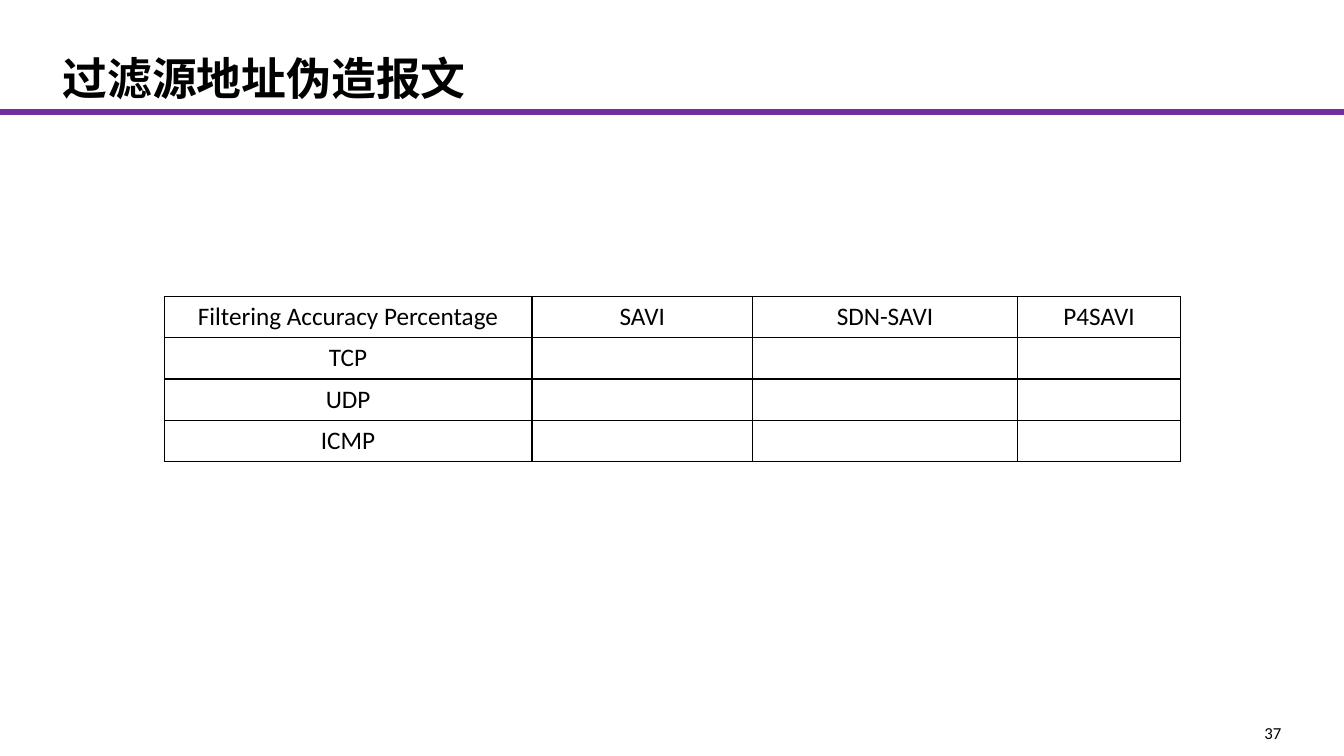
from dataclasses import dataclass

from lxml.etree import SubElement
from pptx import Presentation
from pptx.dml.color import RGBColor
from pptx.enum.shapes import MSO_CONNECTOR
from pptx.enum.text import MSO_ANCHOR, PP_ALIGN
from pptx.oxml.ns import qn
from pptx.util import Inches, Pt


@dataclass(frozen=True)
class Theme:
    ink: RGBColor = RGBColor(0, 0, 0)
    paper: RGBColor = RGBColor(255, 255, 255)
    accent: RGBColor = RGBColor(0x70, 0x30, 0xA0)
    body_font: str = "Calibri"
    title_font: str = "Noto Sans CJK SC"
    title_size: int = 32
    table_size: int = 18
    number_size: int = 12
    rule_width: float = 2.25
    border_width: float = 1


THEME = Theme()
HEADERS = ["Filtering Accuracy Percentage", "SAVI", "SDN-SAVI", "P4SAVI"]
PROTOCOLS = ["TCP", "UDP", "ICMP"]
COLUMN_WIDTHS = [3.65, 2.19, 2.63, 1.62]
ROW_HEIGHT = 0.41


def set_attrs(target, values):
    for name, value in values.items():
        setattr(target, name, value)


def add_color(parent, color):
    fill = SubElement(parent, qn("a:solidFill"))
    SubElement(fill, qn("a:srgbClr"), val=str(color))


def write(p, text, size, font=THEME.body_font, bold=False, align=PP_ALIGN.LEFT):
    p.alignment = align
    r = p.add_run()
    r.text = text
    set_attrs(r.font, {"name": font, "size": Pt(size), "bold": bold})
    r.font.color.rgb = THEME.ink
    SubElement(r.font._element, qn("a:ea"), typeface=font)


def format_frame(tf, side, edge, anchor, wrap):
    set_attrs(tf, {
        "margin_left": Inches(side), "margin_right": Inches(side),
        "margin_top": Inches(edge), "margin_bottom": Inches(edge),
        "vertical_anchor": anchor, "word_wrap": wrap,
    })


def place_title(s, text):
    sp = s.shapes.title
    set_attrs(sp, {"left": Inches(0.62), "top": Inches(0.18),
                   "width": Inches(12.11), "height": Inches(0.91)})
    format_frame(sp.text_frame, 0, 0.05, MSO_ANCHOR.BOTTOM, True)
    write(sp.text_frame.paragraphs[0], text, THEME.title_size,
          THEME.title_font, bold=True)


def add_title_rule(s, width):
    y = Inches(1.1)
    rule = s.shapes.add_connector(MSO_CONNECTOR.STRAIGHT, width, y, 0, y)
    rule.line.color.rgb = THEME.accent
    rule.line.width = Pt(THEME.rule_width)
    effects = SubElement(rule._element.spPr, qn("a:effectLst"))
    shadow = SubElement(effects, qn("a:outerShdw"), blurRad="0",
                        dist=str(Pt(2)), dir="5400000", rotWithShape="0")
    SubElement(shadow, qn("a:srgbClr"), val=str(THEME.accent))


def add_page_number(s, number):
    sp = s.shapes.add_textbox(Inches(12.46), Inches(7.17), Inches(0.26), Inches(0.15))
    format_frame(sp.text_frame, 0, 0, MSO_ANCHOR.TOP, False)
    write(sp.text_frame.paragraphs[0], number, THEME.number_size,
          align=PP_ALIGN.RIGHT)


def format_cell(cell):
    tc_pr = cell._tc.get_or_add_tcPr()
    for side in ("lnL", "lnR", "lnT", "lnB"):
        border = SubElement(tc_pr, qn(f"a:{side}"), w=str(Pt(THEME.border_width)))
        add_color(border, THEME.ink)
    cell.fill.solid()
    cell.fill.fore_color.rgb = THEME.paper


def add_accuracy_table(s):
    rows = [HEADERS] + [[protocol, "", "", ""] for protocol in PROTOCOLS]
    table = s.shapes.add_table(
        len(rows), len(HEADERS), Inches(1.63), Inches(2.94),
        Inches(sum(COLUMN_WIDTHS)), Inches(ROW_HEIGHT * len(rows))).table
    set_attrs(table, {"first_row": False, "horz_banding": False})
    for column, width in zip(table.columns, COLUMN_WIDTHS):
        column.width = Inches(width)
    for row, texts in zip(table.rows, rows):
        row.height = Inches(ROW_HEIGHT)
        for cell, text in zip(row.cells, texts):
            format_cell(cell)
            if text:
                write(cell.text_frame.paragraphs[0], text, THEME.table_size,
                      align=PP_ALIGN.CENTER)


def main():
    prs = Presentation()
    set_attrs(prs, {"slide_width": Inches(13.34), "slide_height": Inches(7.5)})
    s = prs.slides.add_slide(prs.slide_layouts[5])
    add_page_number(s, "37")
    add_title_rule(s, prs.slide_width)
    place_title(s, "过滤源地址伪造报文")
    add_accuracy_table(s)
    prs.save("out.pptx")


if __name__ == "__main__":
    main()
